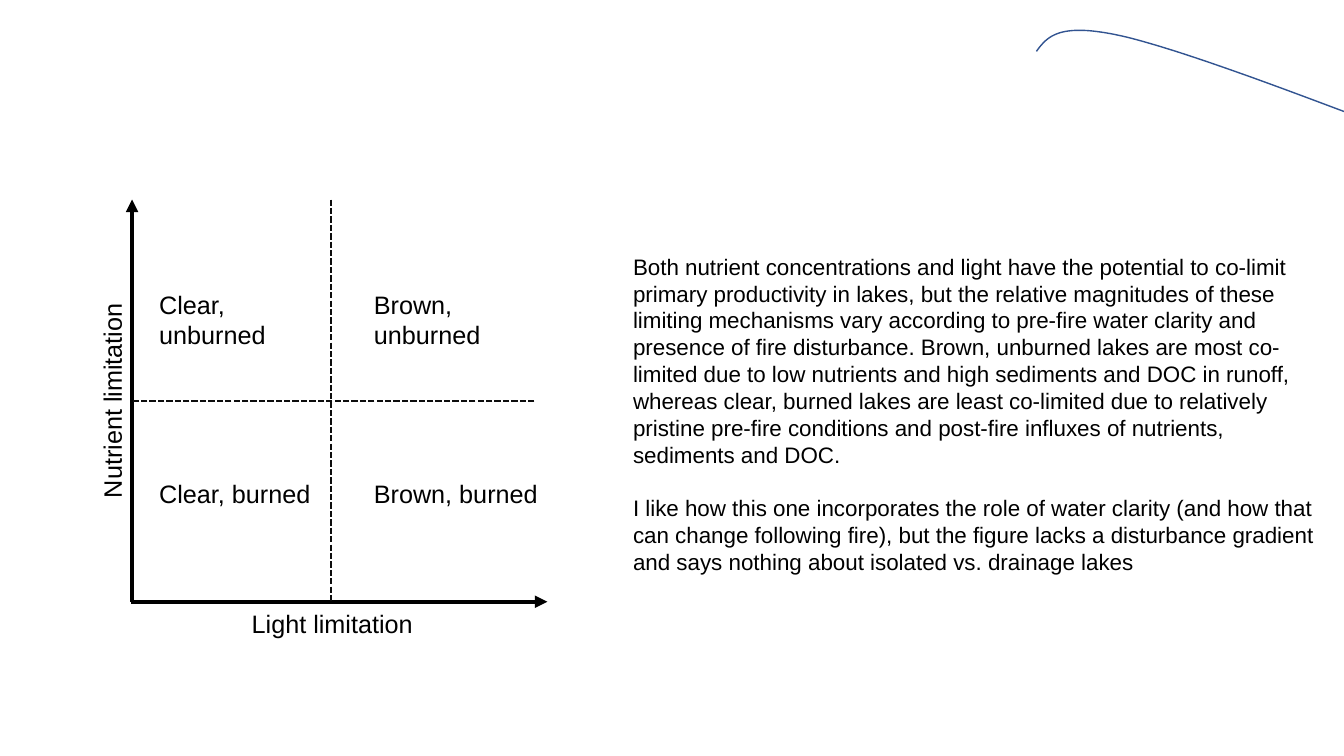
from lxml import etree
from pptx import Presentation
from pptx.dml.color import RGBColor
from pptx.enum.dml import MSO_LINE
from pptx.enum.shapes import MSO_CONNECTOR
from pptx.enum.text import MSO_AUTO_SIZE, PP_ALIGN
from pptx.oxml.ns import qn
from pptx.util import Inches, Pt

STRAIGHT = MSO_CONNECTOR.STRAIGHT
DASH = MSO_LINE.SQUARE_DOT
FIT = MSO_AUTO_SIZE.SHAPE_TO_FIT_TEXT
LEFT, CENTER = PP_ALIGN.LEFT, PP_ALIGN.CENTER

BLACK, SOFT_BLACK, BLUE = "000000", "0D0D0D", "325491"
LABEL_HEIGHT = 0.4

NOTES = [
    "Both nutrient concentrations and light have the potential to co-limit "
    "primary productivity in lakes, but the relative magnitudes of these "
    "limiting mechanisms vary according to pre-fire water clarity and presence "
    "of fire disturbance. Brown, unburned lakes are most co-limited due to low "
    "nutrients and high sediments and DOC in runoff, whereas clear, burned lakes "
    "are least co-limited due to relatively pristine pre-fire conditions and "
    "post-fire influxes of nutrients, sediments and DOC.",
    "I like how this one incorporates the role of water clarity (and how that "
    "can change following fire), but the figure lacks a disturbance gradient "
    "and says nothing about isolated vs. drainage lakes",
]


def color(value):
    return RGBColor.from_string(value)


def add_text(page, box, paragraphs, size=18, align=LEFT, gap=0):
    shape = page.shapes.add_textbox(*map(Inches, box))
    frame = shape.text_frame
    frame.word_wrap = True
    frame.auto_size = FIT
    for index, text in enumerate(paragraphs):
        para = frame.paragraphs[0] if index == 0 else frame.add_paragraph()
        para.alignment = align
        if index:
            para.space_before = Pt(gap)
        span = para.add_run()
        span.text = text
        for name, value in {"name": "Arial", "size": Pt(size)}.items():
            setattr(span.font, name, value)
        span.font.color.rgb = color(BLACK)
    return shape


def add_line(page, start, end, shade, width, dashed=False, arrow=False):
    line = page.shapes.add_connector(STRAIGHT, *map(Inches, start + end))
    line.line.color.rgb = color(shade)
    line.line.width = Pt(width)
    if dashed:
        line.line.dash_style = DASH
    if arrow:
        outline = line.line._get_or_add_ln()
        etree.SubElement(outline, qn("a:tailEnd"), type="triangle")
    etree.SubElement(line._element.spPr, qn("a:effectLst"))


def add_quadrants(page, left, top, side):
    """Two arrow axes, two dashed dividers and a label in each quadrant."""
    half, bottom = side / 2, top + side
    axis = {"shade": BLACK, "width": 3, "arrow": True}
    divider = {"shade": SOFT_BLACK, "width": 1.5, "dashed": True}

    # Axes and their titles
    add_line(page, (left - 0.01, bottom), (left + side + 0.13, bottom), **axis)
    add_line(page, (left, bottom), (left, top), **axis)
    add_text(page, (left - 0.01, bottom + 0.02, side, LABEL_HEIGHT),
             ["Light limitation"], align=CENTER)
    vertical = add_text(
        page, (left - 0.2 - half, top + half - LABEL_HEIGHT / 2, side, LABEL_HEIGHT),
        ["Nutrient limitation"], align=CENTER)
    vertical.rotation = 270

    # Dividers
    add_line(page, (left + half - 0.02, top), (left + half - 0.02, bottom), **divider)
    add_line(page, (left + side, top + half), (left, top + half), **divider)

    # Quadrant labels
    columns = [("Clear", 0.17, 1.82), ("Brown", 2.3, 1.93)]
    rows = [("unburned", 0.84, 0.71), ("burned", 2.72, LABEL_HEIGHT)]
    for clarity, across, width in columns:
        for fire, down, height in rows:
            add_text(page, (left + across, top + down, width, height),
                     [f"{clarity}, {fire}"])


def bezier(controls, share):
    rest = 1 - share
    weights = (rest ** 3, 3 * rest ** 2 * share, 3 * rest * share ** 2, share ** 3)
    return tuple(Inches(sum(w * point[axis] for w, point in zip(weights, controls)))
                 for axis in (0, 1))


def add_curve(page, left, top, steps=40):
    """A hump that rises briefly and then falls towards the right."""
    offsets = [(0, 0.21), (0.11, 0.06), (0.23, -0.09), (0.9, 0.07),
               (1.58, 0.24), (2.8, 0.71), (4.03, 1.18)]
    knots = [(left + across, top + down) for across, down in offsets]
    points = [bezier(knots[first:first + 4], step / steps)
              for first in (0, 3) for step in range(1, steps + 1)]
    start = tuple(map(Inches, knots[0]))
    builder = page.shapes.build_freeform(*start)
    builder.add_line_segments(points, close=False)
    curve = builder.convert_to_shape()
    curve.shadow.inherit = False
    curve.fill.background()
    curve.line.color.rgb = color(BLUE)
    curve.line.width = Pt(1)


def main():
    deck = Presentation()
    deck.slide_width, deck.slide_height = Inches(13.33), Inches(7.5)
    page = deck.slides.add_slide(deck.slide_layouts[6])
    add_quadrants(page, left=1.31, top=1.98, side=3.99)
    add_curve(page, left=10.28, top=0.3)
    add_text(page, (6.18, 2.46, 7.02, 3.6), NOTES, size=16, gap=19)
    deck.save("out.pptx")


if __name__ == "__main__":
    main()
